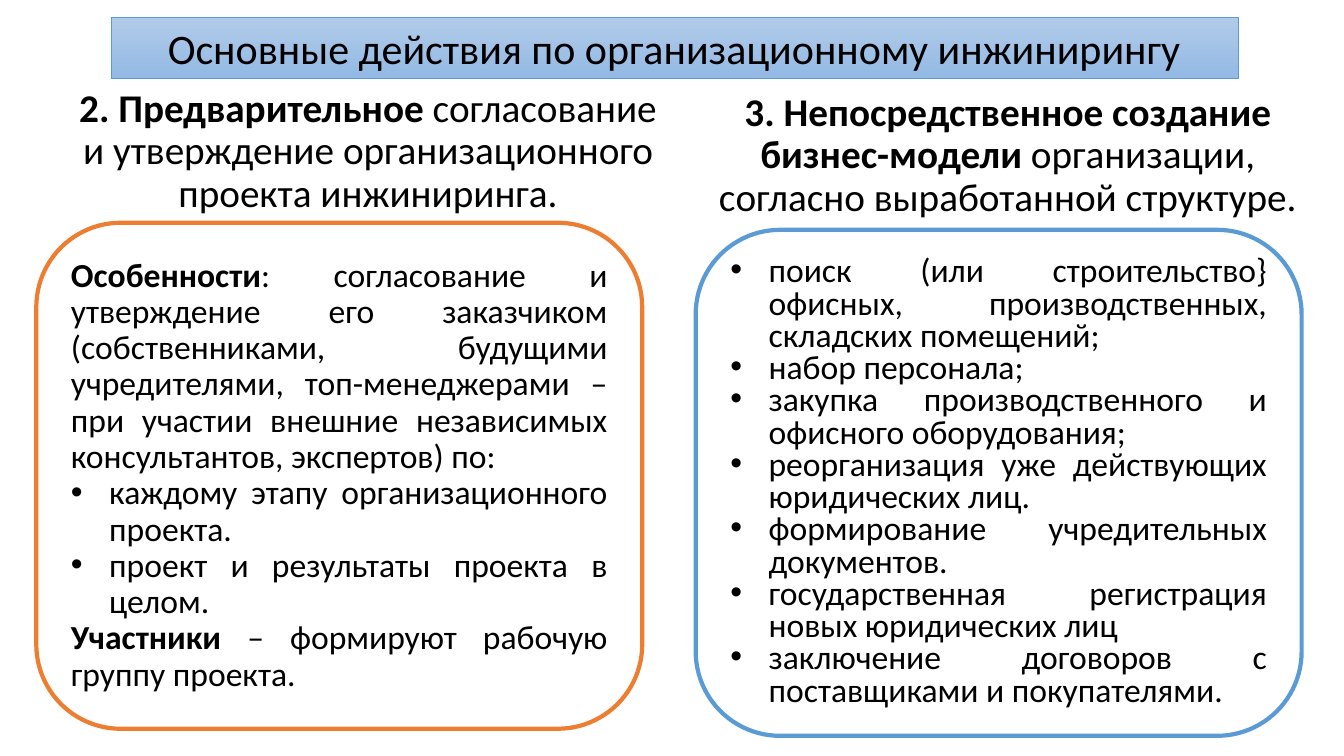
from lxml.etree import SubElement
from pptx import Presentation
from pptx.dml.color import RGBColor
from pptx.enum.shapes import MSO_SHAPE as Shape
from pptx.enum.text import MSO_ANCHOR as Anchor, PP_ALIGN as Align
from pptx.oxml.ns import qn
from pptx.util import Pt

PX = 9144  # 100 px to the inch
BLACK = RGBColor(0x00, 0x00, 0x00)
WHITE = RGBColor(0xFF, 0xFF, 0xFF)
BLUE = RGBColor(0x5B, 0x9B, 0xD5)
ORANGE = RGBColor(0xED, 0x7D, 0x31)
TITLE_TOP = RGBColor(0xB1, 0xCB, 0xE9)
TITLE_BOTTOM = RGBColor(0x93, 0xB9, 0xE4)
BULLET_INDENT = 38

TITLE = "Основные действия по организационному инжинирингу"

# Each paragraph is (bold lead, plain text, bulleted)
APPROVAL_HEADING = ("2. Предварительное ",
                    "согласование и утверждение организационного проекта инжиниринга.", False)
APPROVAL = [
    ("Особенности", ": согласование и утверждение его заказчиком (собственниками, будущими "
     "учредителями, топ-менеджерами – при участии внешние независимых консультантов, "
     "экспертов) по:", False),
    ("", "каждому этапу организационного проекта.", True),
    ("", "проект и результаты проекта в целом.", True),
    ("Участники", " – формируют рабочую группу проекта.", False),
]
CREATION_HEADING = ("3. Непосредственное создание бизнес-модели ",
                    "организации, согласно выработанной структуре.", False)
CREATION = [("", text, True) for text in (
    "поиск (или строительство} офисных, производственных, складских помещений;",
    "набор персонала;",
    "закупка производственного и офисного оборудования;",
    "реорганизация уже действующих юридических лиц.",
    "формирование учредительных документов.",
    "государственная регистрация новых юридических лиц",
    "заключение договоров с поставщиками и покупателями.",
)]


def emu(box):
    return [length * PX for length in box]


def add_bullet(paragraph):
    properties = paragraph._p.get_or_add_pPr()
    properties.set("marL", str(BULLET_INDENT * PX))
    properties.set("indent", str(-BULLET_INDENT * PX))
    SubElement(properties, qn("a:buFont")).set("typeface", "Arial")
    SubElement(properties, qn("a:buChar")).set("char", "•")


def write(shape, paragraphs, size, align, spacing=1.0, anchor=Anchor.TOP):
    frame = shape.text_frame
    frame.word_wrap = True
    frame.vertical_anchor = anchor
    for index, (lead, text, bulleted) in enumerate(paragraphs):
        paragraph = frame.add_paragraph() if index else frame.paragraphs[0]
        if bulleted:
            add_bullet(paragraph)
        paragraph.alignment = align
        paragraph.line_spacing = spacing
        paragraph.font.name = "Calibri"
        paragraph.font.size = Pt(size)
        paragraph.font.color.rgb = BLACK
        for words, bold in ((lead, True), (text, False)):
            if words:
                run = paragraph.add_run()
                run.text = words
                run.font.bold = bold


def add_outlined(slide, kind, box, color, width):
    shape = slide.shapes.add_shape(kind, *emu(box))
    shape.shadow.inherit = False
    shape.line.color.rgb = color
    shape.line.width = Pt(width)
    return shape


def add_title(slide, box):
    banner = add_outlined(slide, Shape.RECTANGLE, box, BLUE, 0.5)
    banner.fill.gradient()
    banner.fill.gradient_angle = 270
    for stop, color in zip(banner.fill.gradient_stops, (TITLE_TOP, TITLE_BOTTOM)):
        stop.color.rgb = color
    write(banner, [("", TITLE, False)], 30, Align.CENTER)


def add_stage(slide, box, heading_box, heading, paragraphs, color, spacing):
    """Heading placed relative to the stage box, rounded panel at its foot."""
    left, top, width, height = box
    shift, drop, heading_width, heading_height = heading_box
    heading_shape = slide.shapes.add_textbox(
        *emu((left + shift, top + drop, heading_width, heading_height)))
    write(heading_shape, [heading], 28, Align.CENTER, 0.9)

    panel_height = 502
    panel_box = (left, top + height - panel_height, width, panel_height)
    panel = add_outlined(slide, Shape.ROUNDED_RECTANGLE, panel_box, color, 3)
    panel.fill.solid()
    panel.fill.fore_color.rgb = WHITE
    write(panel, paragraphs, 24, Align.JUSTIFY, spacing, Anchor.MIDDLE)


def main():
    presentation = Presentation()
    presentation.slide_width = 1333 * PX
    presentation.slide_height = 750 * PX
    slide = presentation.slides.add_slide(presentation.slide_layouts[6])

    add_title(slide, (110, 17, 1118, 61))
    # Left stage: approval
    add_stage(slide, (36, 83, 601, 640), (24, 0, 610, 137),
              APPROVAL_HEADING, APPROVAL, ORANGE, 0.9)
    # Right stage: creation
    add_stage(slide, (690, 87, 601, 643), (11, 0, 597, 137),
              CREATION_HEADING, CREATION, BLUE, 0.8)
    presentation.save("out.pptx")


if __name__ == "__main__":
    main()
